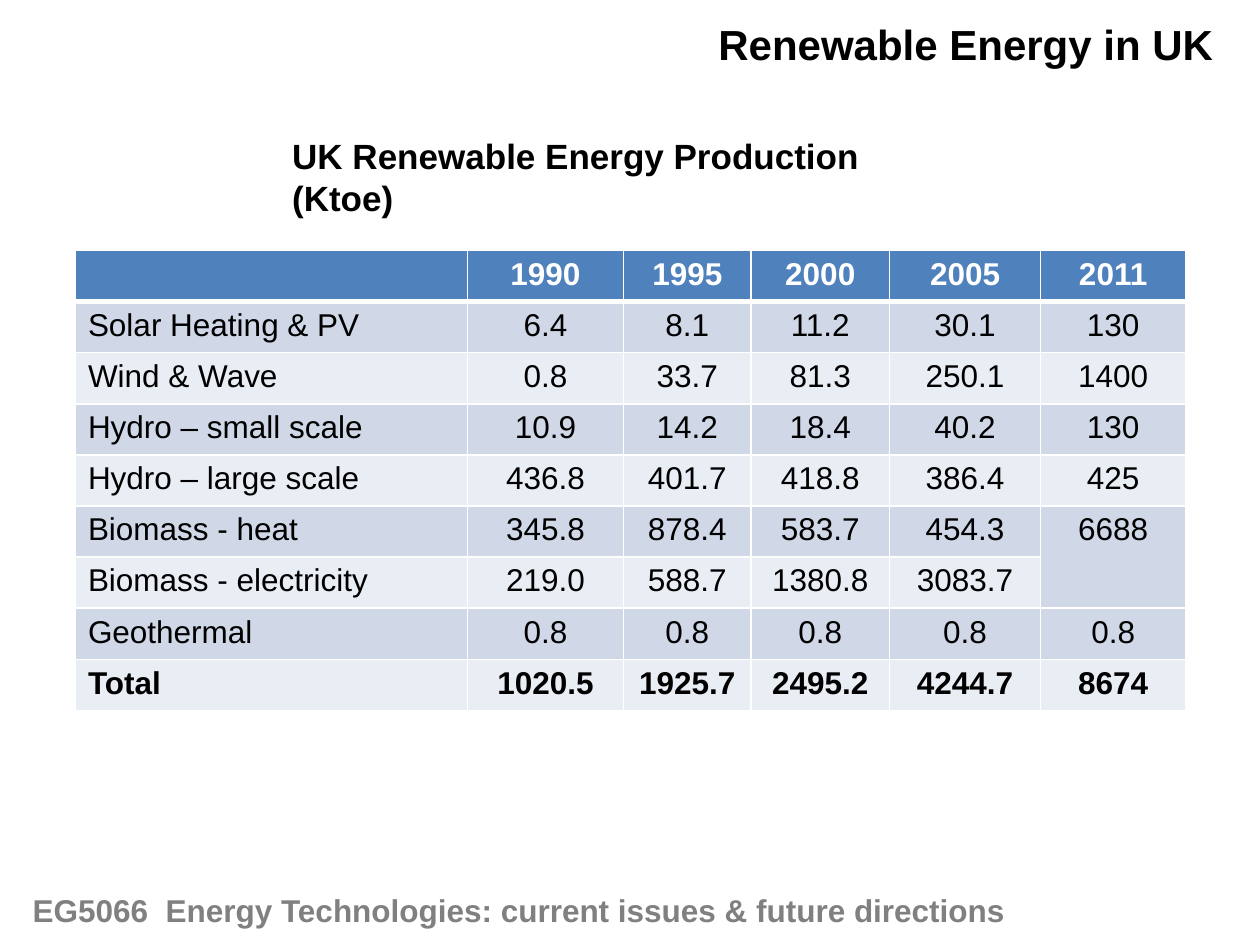
from dataclasses import dataclass

from lxml.etree import SubElement
from pptx import Presentation
from pptx.dml.color import RGBColor
from pptx.enum.text import MSO_ANCHOR as Anchor, PP_ALIGN as Align
from pptx.oxml.ns import qn
from pptx.util import Cm, Pt


@dataclass(frozen=True)
class Theme:
    """Font, type sizes in points and colours of the slide."""
    font: str = "Arial"
    title_size: int = 24
    heading_size: int = 20
    text_size: int = 18
    text: str = "000000"
    muted: str = "808080"
    white: str = "FFFFFF"
    header: str = "4F81BD"
    bands: tuple = ("D0D8E8", "E9EDF4")


THEME = Theme()
TITLE_ONLY = 5
COLUMN_WIDTHS = (7.9, 3.15, 2.57, 2.79, 3.05, 2.92)
ROW_HEIGHT = 1.03
PRODUCTION = (
    ("", "1990", "1995", "2000", "2005", "2011"),
    ("Solar Heating & PV", "6.4", "8.1", "11.2", "30.1", "130"),
    ("Wind & Wave", "0.8", "33.7", "81.3", "250.1", "1400"),
    ("Hydro – small scale", "10.9", "14.2", "18.4", "40.2", "130"),
    ("Hydro – large scale", "436.8", "401.7", "418.8", "386.4", "425"),
    ("Biomass - heat", "345.8", "878.4", "583.7", "454.3", "6688"),
    ("Biomass - electricity", "219.0", "588.7", "1380.8", "3083.7", ""),
    ("Geothermal", "0.8", "0.8", "0.8", "0.8", "0.8"),
    ("Total", "1020.5", "1925.7", "2495.2", "4244.7", "8674"),
)


def write(text_frame, text, size, color, bold=True, align=Align.LEFT):
    """Put one formatted paragraph into a text frame."""
    text_frame.text = text
    paragraph = text_frame.paragraphs[0]
    paragraph.alignment = align
    font = paragraph.font
    for target in [font] + [run.font for run in paragraph.runs]:
        target.name = THEME.font
        target.size = Pt(size)
        target.bold = bold
        target.color.rgb = RGBColor.from_string(color)


def add_title(slide, text):
    """Move the title placeholder to the top right and fill it."""
    title = slide.shapes.title
    title.left, title.top = Cm(14.22), Cm(0.25)
    title.width, title.height = Cm(10.49), Cm(1.27)
    title.text_frame.word_wrap = False
    title.text_frame.vertical_anchor = Anchor.TOP
    write(title.text_frame, text, THEME.title_size, THEME.text, align=Align.RIGHT)


def add_label(slide, box, text, size, color):
    """Add a bold wrapping text box at left, top, width, height in cm."""
    label = slide.shapes.add_textbox(*map(Cm, box))
    label.text_frame.word_wrap = True
    write(label.text_frame, text, size, color)


def set_borders(cell, top, bottom):
    """Give a cell white borders, with top and bottom widths in points."""
    properties = cell._tc.get_or_add_tcPr()
    for side, width in (("L", 1), ("R", 1), ("T", top), ("B", bottom)):
        line = SubElement(properties, qn(f"a:ln{side}"), w=str(Pt(width)))
        fill = SubElement(line, qn("a:solidFill"))
        SubElement(fill, qn("a:srgbClr"), val=THEME.white)


def format_cell(cell, text, row, column):
    """Write a cell and style it by its place in the table."""
    is_header = row == 0
    is_total = row == len(PRODUCTION) - 1
    set_borders(cell, 3 if row == 1 else 1, 3 if is_header else 1)
    cell.fill.solid()
    fill = THEME.header if is_header else THEME.bands[(row - 1) % 2]
    cell.fill.fore_color.rgb = RGBColor.from_string(fill)
    write(cell.text_frame, text, THEME.text_size,
          THEME.white if is_header else THEME.text,
          bold=is_header or is_total,
          align=Align.CENTER if column else Align.LEFT)


def add_production_table(slide):
    """Add the table of production by source and year."""
    table = slide.shapes.add_table(
        len(PRODUCTION), len(COLUMN_WIDTHS), Cm(1.52), Cm(5.05),
        Cm(sum(COLUMN_WIDTHS)), Cm(ROW_HEIGHT * len(PRODUCTION))).table
    for column, width in zip(table.columns, COLUMN_WIDTHS):
        column.width = Cm(width)
    for row, values in enumerate(PRODUCTION):
        table.rows[row].height = Cm(ROW_HEIGHT)
        for column, text in enumerate(values):
            format_cell(table.cell(row, column), text, row, column)
    table.cell(5, 5).merge(table.cell(6, 5))


def main():
    """Build and save the slide."""
    presentation = Presentation()
    presentation.slide_width, presentation.slide_height = Cm(25.4), Cm(19.05)
    slide = presentation.slides.add_slide(presentation.slide_layouts[TITLE_ONLY])
    add_title(slide, "Renewable Energy in UK")
    add_production_table(slide)
    add_label(slide, (5.64, 2.59, 13.9, 1.09), "UK Renewable Energy Production (Ktoe)",
              THEME.heading_size, THEME.text)
    add_label(slide, (0.41, 17.83, 21.82, 1.02),
              "EG5066  Energy Technologies: current issues & future directions",
              THEME.text_size, THEME.muted)
    presentation.save("out.pptx")


if __name__ == "__main__":
    main()
